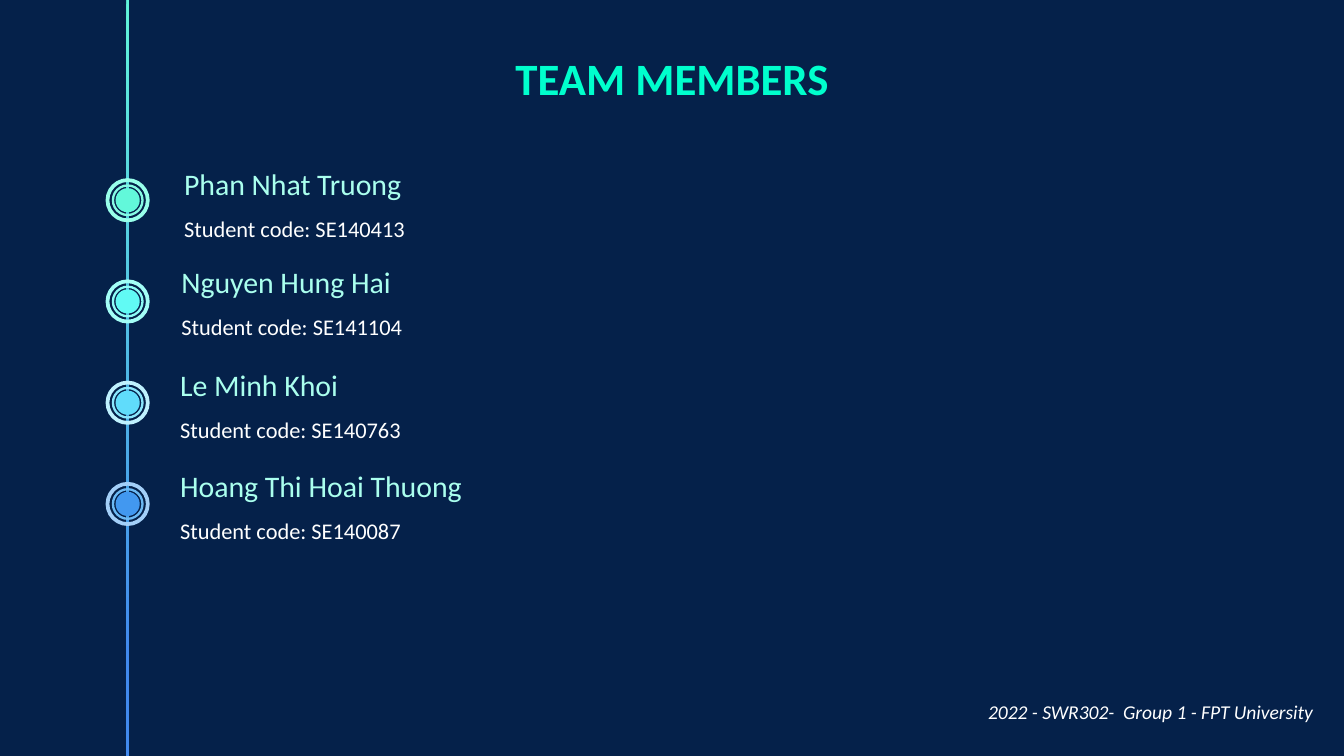
"""Build a team members slide with a vertical timeline of four students."""
from pptx import Presentation
from pptx.dml.color import RGBColor
from pptx.enum.shapes import MSO_SHAPE as Shape
from pptx.enum.text import MSO_ANCHOR as Anchor, MSO_AUTO_SIZE as AutoSize, PP_ALIGN as Align
from pptx.util import Inches, Pt

NAVY = RGBColor(0x05, 0x21, 0x4A)
WHITE = RGBColor(0xFF, 0xFF, 0xFF)
MINT = RGBColor(0x00, 0xFF, 0xCD)
PALE_MINT = RGBColor(0xAA, 0xFF, 0xEE)
RAIL_TOP = RGBColor(0x62, 0xF8, 0xDA)
RAIL_BOTTOM = RGBColor(0x41, 0x89, 0xEE)
GREEN_DOT = [RGBColor(0x62, 0xF8, 0xDA), RGBColor(0x86, 0xFA, 0xE3), RGBColor(0x98, 0xFF, 0xEA)]
AQUA_DOT = [RGBColor(0x61, 0xFA, 0xF4), RGBColor(0x8D, 0xFC, 0xF5), RGBColor(0xA3, 0xFE, 0xF6)]
SKY_DOT = [RGBColor(0x60, 0xDC, 0xFB), RGBColor(0x8A, 0xE6, 0xFC), RGBColor(0xBF, 0xF1, 0xFE)]
BLUE_DOT = [RGBColor(0x42, 0x98, 0xF0), RGBColor(0x6C, 0xB9, 0xF4), RGBColor(0xA3, 0xCF, 0xF8)]


def write(paragraph, text, *, size, color, bold=False, italic=False,
          align=Align.LEFT, spacing=1.0):
    paragraph.alignment = align
    paragraph.line_spacing = spacing
    run = paragraph.add_run()
    run.text = text
    run.font.name = "Calibri"
    run.font.size = Pt(size)
    run.font.color.rgb = color
    run.font.bold = bold
    run.font.italic = italic


def set_frame(frame, inset_x, inset_y):
    frame.word_wrap = True
    frame.auto_size = AutoSize.NONE
    frame.vertical_anchor = Anchor.TOP
    frame.margin_left = frame.margin_right = Inches(inset_x)
    frame.margin_top = frame.margin_bottom = Inches(inset_y)
    return frame


prs = Presentation()
prs.slide_width = Inches(10)
prs.slide_height = Inches(10) * 9 // 16
slide = prs.slides.add_slide(prs.slide_layouts[5])
slide.background.fill.solid()
slide.background.fill.fore_color.rgb = NAVY

footer = slide.shapes.add_textbox(Inches(6.03), Inches(5.11), Inches(3.84), Inches(0.38))
write(set_frame(footer.text_frame, 0.1, 0.05).paragraphs[0],
      "2022 - SWR302-  Group 1 - FPT University",
      size=10.5, color=WHITE, italic=True, align=Align.RIGHT, spacing=1.3)

title = slide.shapes.title
title.left, title.top = Inches(2.15), Inches(0.28)
title.width, title.height = Inches(5.7), Inches(1.03)
write(set_frame(title.text_frame, 0.1, 0.1).paragraphs[0], "TEAM MEMBERS",
      size=24, color=MINT, bold=True, align=Align.CENTER)

rail = slide.shapes.add_shape(Shape.RECTANGLE, Inches(0.94), Inches(-0.15), Inches(0.02), Inches(6))
rail.shadow.inherit = False
rail.line.fill.background()
rail.fill.gradient()
rail.fill.gradient_angle = 270
for stop, color, position in zip(rail.fill.gradient_stops, (RAIL_TOP, RAIL_BOTTOM), (0, 0.84)):
    stop.color.rgb = color
    stop.position = position

members = [
    ("Phan Nhat Truong", "SE140413", 1.37, 1.26, GREEN_DOT),
    ("Nguyen Hung Hai", "SE141104", 1.35, 1.99, AQUA_DOT),
    ("Le Minh Khoi", "SE140763", 1.34, 2.76, SKY_DOT),
    ("Hoang Thi Hoai Thuong", "SE140087", 1.34, 3.51, BLUE_DOT),
]
first_center, last_center = 1.49, 3.75
row_gap = (last_center - first_center) / (len(members) - 1)
for row, (name, code, left, top, dot_colors) in enumerate(members):
    center_y = first_center + row * row_gap
    for diameter, line_width, color in zip((0.18, 0.22, 0.3), (0, 1.25, 2), dot_colors):
        circle = slide.shapes.add_shape(
            Shape.OVAL, Inches(0.95 - diameter / 2), Inches(center_y - diameter / 2),
            Inches(diameter), Inches(diameter))
        circle.shadow.inherit = False
        if line_width:
            circle.fill.background()
            circle.line.color.rgb = color
            circle.line.width = Pt(line_width)
        else:
            circle.fill.solid()
            circle.fill.fore_color.rgb = color
            circle.line.fill.background()

    member = slide.shapes.add_textbox(Inches(left), Inches(top), Inches(3.64), Inches(0.47))
    details = set_frame(member.text_frame, 0, 0)
    write(details.paragraphs[0], name, size=16, color=PALE_MINT, spacing=0.9)
    write(details.add_paragraph(), f"Student code: {code}", size=12, color=WHITE, spacing=1.5)

prs.save("out.pptx")
